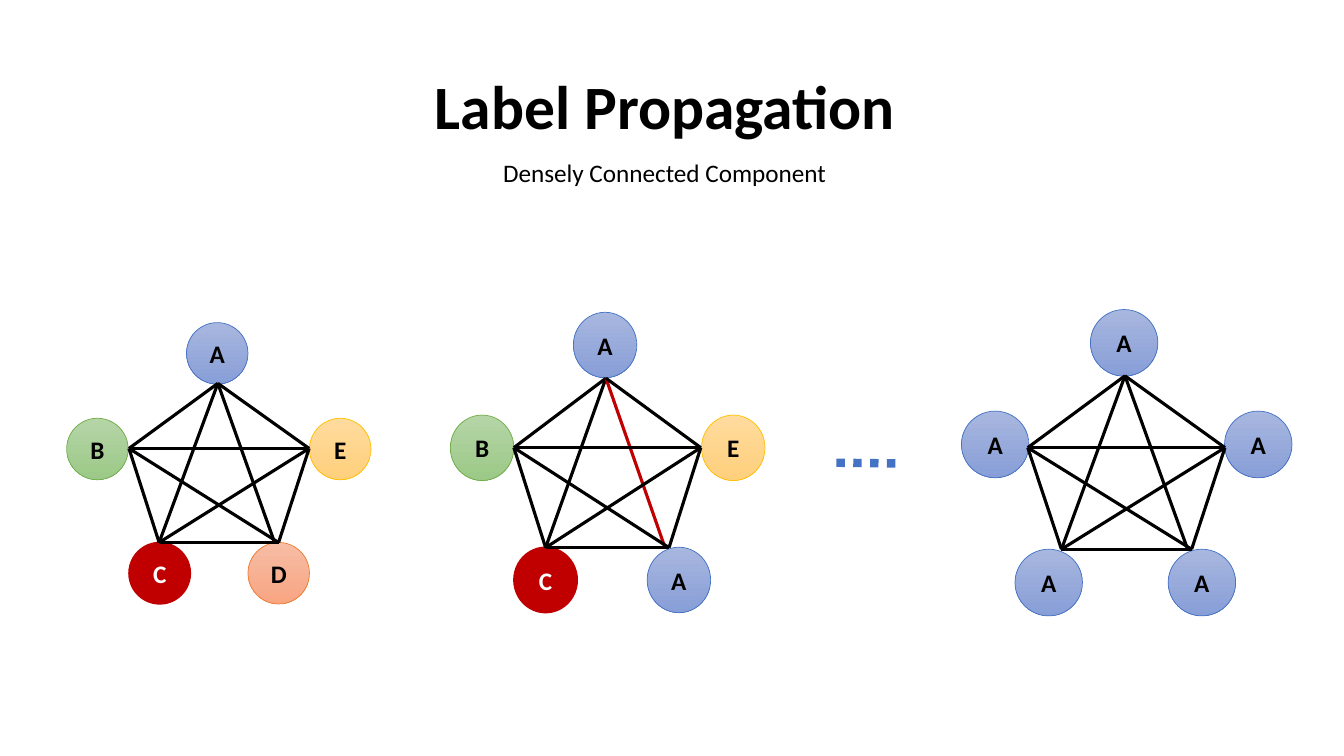
from dataclasses import dataclass
from itertools import combinations

from lxml import etree
from pptx import Presentation, slide as sl, util as u
from pptx.dml import color as col
from pptx.enum import dml, shapes, text
from pptx.oxml import ns
from pptx.text import text as tx

Point = tuple[float, float]

HUES = {
    "black": "000000",
    "white": "FFFFFF",
    "red": "C00000",
    "blue": "4472C4",
}
# Label: top fill, bottom fill, outline
NODES = {
    "A": ("A8B7DF", "889ED7", "4472C4"),
    "B": ("B5D5A7", "9CC987", "70AD47"),
    "C": ("C00000", "C00000", "C00000"),
    "D": ("F7BDA5", "F8A582", "ED7D31"),
    "E": ("FFDB9E", "FFD07C", "FFC000"),
}
FONT = "Calibri"


@dataclass
class Graph:
    """Five nodes from the top, anticlockwise; lengths in cm."""
    labels: str
    width: float
    height: float
    spots: list[Point]
    tips: list[Point]
    marked: tuple[int, int] | None = None


GRAPHS = [
    Graph("ABCDE", 1.55, 1.55,
          [(4.7, 8.13), (1.68, 10.54), (3.25, 13.67), (6.25, 13.67), (7.8, 10.54)],
          [(5.49, 9.66), (3.25, 11.3), (4.01, 13.67), (7.02, 13.67), (7.79, 11.3)]),
    Graph("ABCAE", 1.6, 1.65,
          [(14.45, 7.87), (11.35, 10.46), (12.95, 13.79), (16.31, 13.79), (17.68, 10.46)],
          [(15.27, 9.53), (12.95, 11.28), (13.75, 13.8), (16.86, 13.8), (17.66, 11.28)],
          marked=(0, 3)),
    Graph("AAAAA", 1.7, 1.68,
          [(27.48, 7.8), (24.23, 10.36), (25.58, 13.84), (29.44, 13.84), (30.86, 10.36)],
          [(28.35, 9.47), (25.9, 11.28), (26.75, 13.84), (30.03, 13.84), (30.87, 11.28)]),
]


def rgb(code: str) -> col.RGBColor:
    return col.RGBColor.from_string(code)


def style(frame: tx.TextFrame, words: str, size: float, hue: str, bold: bool) -> None:
    frame.text = words
    par = frame.paragraphs[0]
    par.alignment = text.PP_ALIGN.CENTER
    font = par.runs[0].font
    font.name, font.size, font.bold = FONT, u.Pt(size), bold
    font.color.rgb = rgb(HUES[hue])


def add_node(page: sl.Slide, label: str, spot: Point, width: float, height: float) -> None:
    top, base, edge = NODES[label]
    node = page.shapes.add_shape(shapes.MSO_SHAPE.OVAL, *map(u.Cm, (*spot, width, height)))
    node.shadow.inherit = False
    if top == base:
        node.fill.solid()
        node.fill.fore_color.rgb = rgb(top)
    else:
        node.fill.gradient()
        node.fill.gradient_angle = 270
        for stop, hue in zip(node.fill.gradient_stops, (top, base)):
            stop.color.rgb = rgb(hue)
    node.line.color.rgb = rgb(edge)
    node.line.width = u.Pt(1 if top == base else 0.5)
    frame = node.text_frame
    frame.margin_left = frame.margin_right = 0
    frame.vertical_anchor = text.MSO_ANCHOR.MIDDLE
    style(frame, label, 18, "white" if label == "C" else "black", True)


def add_line(page: sl.Slide, start: Point, end: Point, hue: str, width: float,
             dash: dml.MSO_LINE | None = None) -> None:
    line = page.shapes.add_connector(
        shapes.MSO_CONNECTOR.STRAIGHT, *map(u.Cm, (*start, *end)))
    line.line.color.rgb = rgb(HUES[hue])
    line.line.width = u.Pt(width)
    if dash is not None:
        line.line.dash_style = dash
    etree.SubElement(line._element.spPr, ns.qn("a:effectLst"))


def add_graph(page: sl.Slide, graph: Graph) -> None:
    """Draw the nodes, then join every pair of tips."""
    for label, spot in zip(graph.labels, graph.spots):
        add_node(page, label, spot, graph.width, graph.height)
    for pair in combinations(range(len(graph.tips)), 2):
        start, end = (graph.tips[i] for i in pair)
        if pair == (0, 3):
            end = (end[0] - 0.1, end[1])
        add_line(page, start, end, "red" if pair == graph.marked else "black", 2.25)


def add_heads(page: sl.Slide) -> None:
    title = page.shapes.title
    title.left, title.top, title.width, title.height = map(u.Cm, (9.6, 0.91, 14.33, 3.68))
    frame = title.text_frame
    frame.auto_size = text.MSO_AUTO_SIZE.NONE
    frame.vertical_anchor = text.MSO_ANCHOR.MIDDLE
    style(frame, "Label Propagation", 44, "black", True)
    frame.paragraphs[0].line_spacing = 0.9

    note = page.shapes.add_textbox(*map(u.Cm, (12.37, 3.84, 8.76, 1.02)))
    note.text_frame.word_wrap = False
    style(note.text_frame, "Densely Connected Component", 18, "black", False)


def main() -> None:
    deck = Presentation()
    deck.slide_width, deck.slide_height = u.Cm(33.87), u.Cm(19.05)
    page = deck.slides.add_slide(deck.slide_layouts.get_by_name("Title Only"))
    add_heads(page)
    for graph in GRAPHS:
        add_graph(page, graph)
    add_line(page, (21.08, 11.66), (22.76, 11.68), "blue", 6, dml.MSO_LINE.ROUND_DOT)
    deck.save("out.pptx")


if __name__ == "__main__":
    main()
